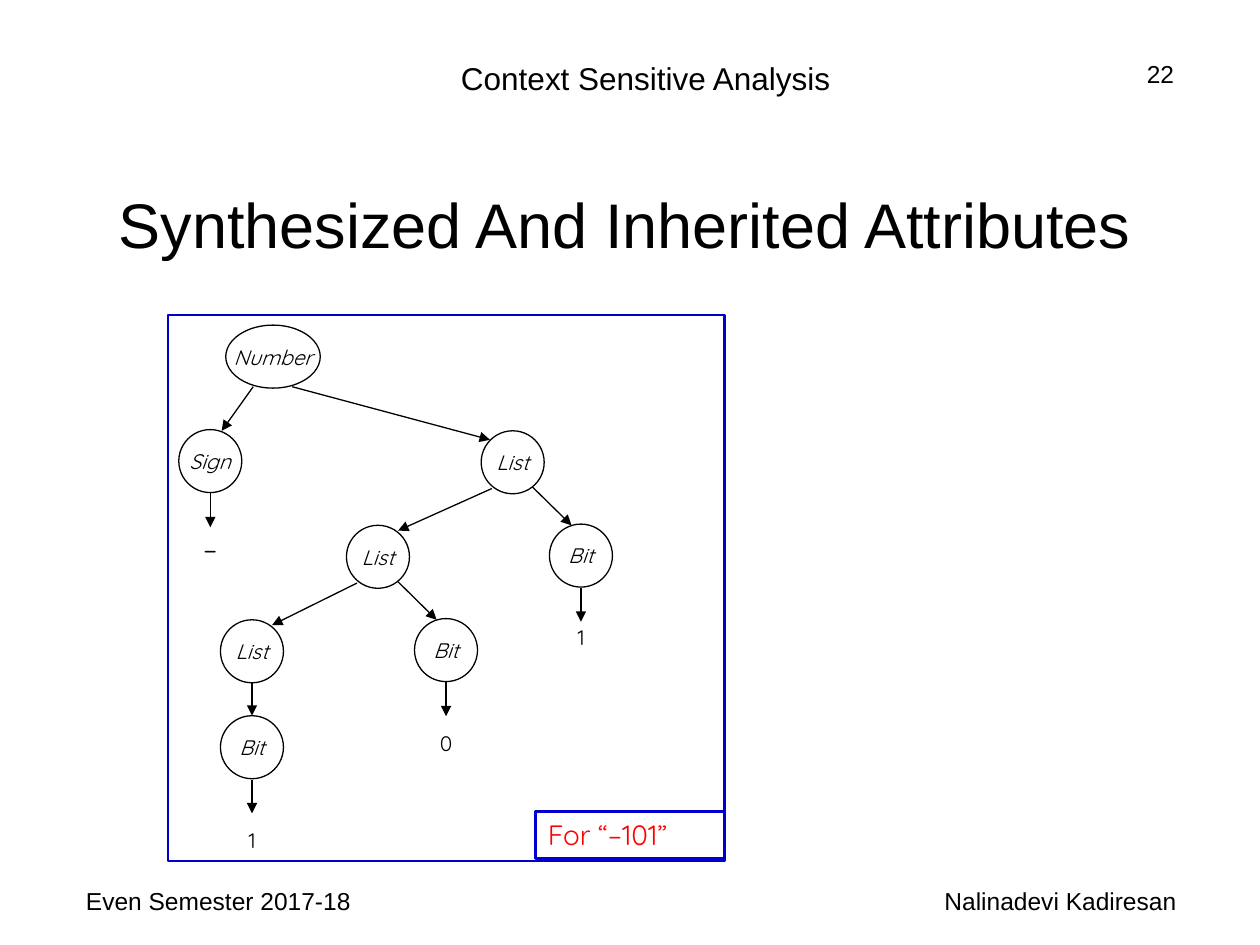
from lxml import etree
from pptx import Presentation
from pptx.dml.color import RGBColor
from pptx.enum import shapes, text
from pptx.oxml.ns import qn
from pptx.util import Pt

BLACK, BLUE, RED = "000000", "0000CC", "FF0000"
ARIAL, QUICKSAND = "Arial", "Quicksand"
LEFT, CENTER, RIGHT = text.PP_ALIGN.LEFT, text.PP_ALIGN.CENTER, text.PP_ALIGN.RIGHT
TOP, MIDDLE = text.MSO_ANCHOR.TOP, text.MSO_ANCHOR.MIDDLE
NODE = 36

# name: (label, centre x, centre y, width)
NODES = {
    "number": ("Number", 156, 203.8, 54),
    "sign": ("Sign", 120.2, 263.5, NODE),
    "list1": ("List", 293, 264.2, NODE),
    "bit1": ("Bit", 332, 317.5, NODE),
    "list2": ("List", 216, 318.2, NODE),
    "bit2": ("Bit", 254.9, 371.5, NODE),
    "list3": ("List", 144, 372.2, NODE),
    "bit3": ("Bit", 144, 427, NODE),
}

# Offsets from a node's centre to points on its edge
LOWER_LEFT, LOWER_RIGHT = (-12, 15), (11.2, 14)
UPPER_LEFT, UPPER_RIGHT = (-5.4, -17.3), (11.5, -15)
BOTTOM, TOP_MIDDLE = (0, 18), (0, -18)
BRANCHES = [
    ("number", (-11.3, 17.2), "sign", (6.5, -17.3)),
    ("number", (11, 17.2), "list1", (-13, -12.9)),
    ("list1", LOWER_LEFT, "list2", UPPER_RIGHT),
    ("list1", LOWER_RIGHT, "bit1", UPPER_LEFT),
    ("list2", LOWER_LEFT, "list3", UPPER_RIGHT),
    ("list2", LOWER_RIGHT, "bit2", UPPER_LEFT),
    ("list3", BOTTOM, "bit3", TOP_MIDDLE),
]

# Parent node, token, top of the token's box, text size
LEAVES = [
    ("sign", "–", 300.2, 16),
    ("bit1", "1", 353.5, 12),
    ("bit2", "0", 414, 12),
    ("bit3", "1", 469.4, 12),
]


def color(value):
    return RGBColor.from_string(value)


def write(shape, content, size=12, font=ARIAL, fill=BLACK, italic=False,
          align=CENTER, anchor=TOP, wrap=True):
    frame = shape.text_frame
    frame.word_wrap = wrap
    frame.vertical_anchor = anchor
    paragraph = frame.paragraphs[0]
    paragraph.alignment = align
    run = paragraph.add_run()
    run.text = content
    run.font.name = font
    run.font.size = Pt(size)
    run.font.italic = italic
    run.font.color.rgb = color(fill)


def add_label(slide, content, left, top, width, height, **style):
    box = slide.shapes.add_textbox(Pt(left), Pt(top), Pt(width), Pt(height))
    write(box, content, **style)


def add_outline(slide, preset, left, top, width, height, line, weight):
    """Add an unfilled preset shape."""
    shape = slide.shapes.add_shape(preset, Pt(left), Pt(top), Pt(width), Pt(height))
    shape.shadow.inherit = False
    shape.fill.background()
    shape.line.color.rgb = color(line)
    shape.line.width = Pt(weight)
    return shape


def add_node(slide, label, x, y, width):
    node = add_outline(slide, shapes.MSO_SHAPE.OVAL, x - width / 2, y - NODE / 2,
                       width, NODE, BLACK, 0.75)
    write(node, label, font=QUICKSAND, italic=True, anchor=MIDDLE, wrap=False)


def add_arrow(slide, x1, y1, x2, y2):
    arrow = slide.shapes.add_connector(shapes.MSO_CONNECTOR.STRAIGHT,
                                       Pt(x1), Pt(y1), Pt(x2), Pt(y2))
    arrow.line.color.rgb = color(BLACK)
    arrow.line.width = Pt(0.75)
    etree.SubElement(arrow.line._get_or_add_ln(), qn("a:tailEnd"), type="triangle")
    etree.SubElement(arrow._element.spPr, qn("a:effectLst"))


def add_tree(slide):
    for node in NODES.values():
        add_node(slide, *node)
    for parent, (dx1, dy1), child, (dx2, dy2) in BRANCHES:
        _, x1, y1, _ = NODES[parent]
        _, x2, y2, _ = NODES[child]
        add_arrow(slide, x1 + dx1, y1 + dy1, x2 + dx2, y2 + dy2)
    for parent, token, top, size in LEAVES:
        _, x, y, _ = NODES[parent]
        add_arrow(slide, x, y + 18.5, x, y + 37.8)
        add_label(slide, token, x - 16, top, 32, 22, size=size, font=QUICKSAND)


def add_frame(slide):
    rectangle = shapes.MSO_SHAPE.RECTANGLE
    add_outline(slide, rectangle, 96, 180, 318, 312, BLUE, 1.5)
    caption = add_outline(slide, rectangle, 306, 463.8, 108, 26.7, BLUE, 1.5)
    write(caption, "For “–101”", size=16, font=QUICKSAND, fill=RED, align=LEFT)


def main():
    deck = Presentation()
    deck.slide_width, deck.slide_height = Pt(720), Pt(540)
    slide = deck.slides.add_slide(deck.slide_layouts[6])
    add_label(slide, "Context Sensitive Analysis", 102, 30, 534, 29, size=18)
    add_label(slide, "22", 552, 30, 126, 37, size=14, align=RIGHT)
    add_label(slide, "Synthesized And Inherited Attributes", 18, 96, 678, 63,
              size=36, anchor=MIDDLE)
    add_tree(slide)
    add_frame(slide)
    add_label(slide, "Even Semester 2017-18", 42, 502.5, 168, 37.5, size=14, align=LEFT)
    add_label(slide, "Nalinadevi Kadiresan", 492, 502.5, 228, 37.5, size=14)
    deck.save("out.pptx")


if __name__ == "__main__":
    main()
